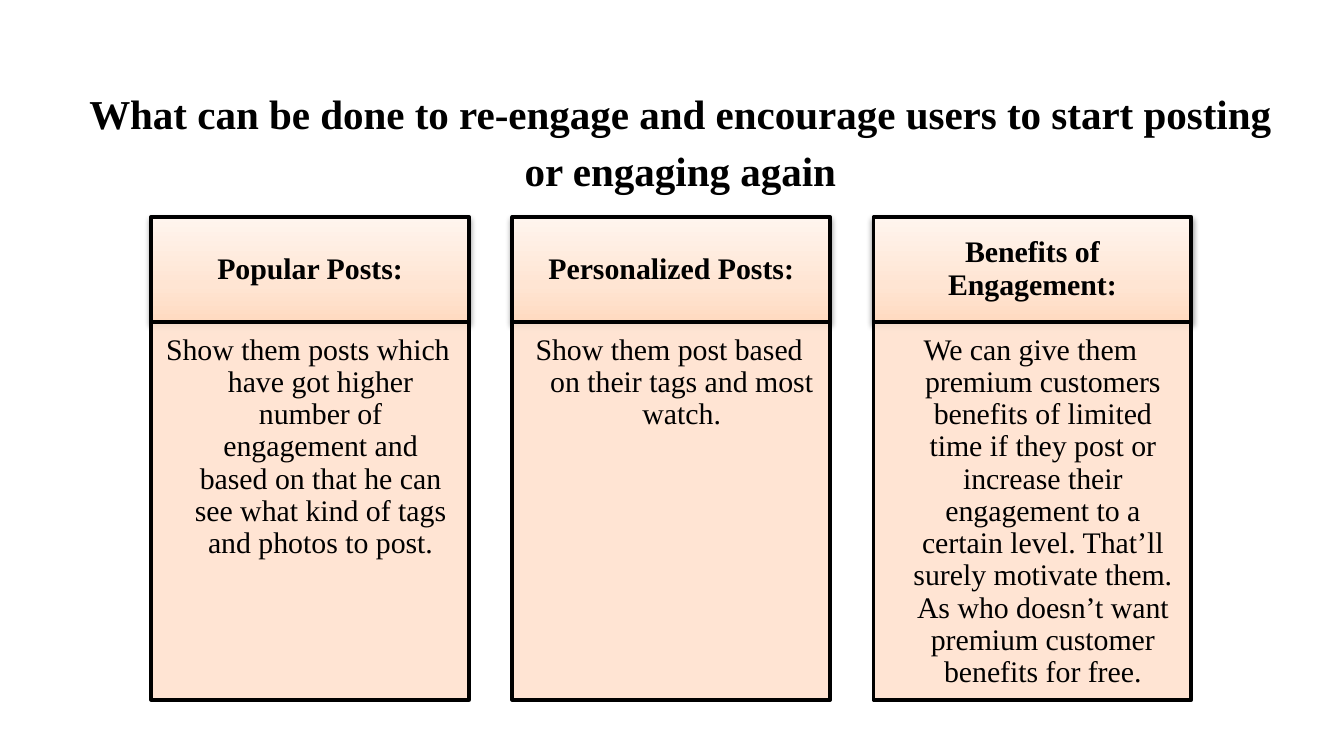
"""Build a slide with three cards of ideas for re-engaging users."""
from lxml import etree
from pptx import Presentation
from pptx.dml.color import RGBColor
from pptx.enum.shapes import MSO_SHAPE
from pptx.enum.text import MSO_ANCHOR, MSO_AUTO_SIZE, PP_ALIGN
from pptx.oxml.ns import qn
from pptx.util import Pt

PX = 9525
RECT = MSO_SHAPE.RECTANGLE
TOP, MIDDLE = MSO_ANCHOR.TOP, MSO_ANCHOR.MIDDLE
CENTER = PP_ALIGN.CENTER
NO_FIT = MSO_AUTO_SIZE.NONE
BLACK = "000000"
LEFT, HEAD_TOP, WIDTH, STEP = 108, 155, 227, 258
HEAD_H, BODY_H = 75, 270
STOPS = [(0, "FFDAC0"), (35, "FFE5D3"), (100, "FFF5EE")]
CARDS = [
    ("Popular Posts:",
     "Show them posts which have got higher number of engagement and based "
     "on that he can see what kind of tags and photos to post."),
    ("Personalized Posts:",
     "Show them post based on their tags and most watch."),
    ("Benefits of Engagement:",
     "We can give them premium customers benefits of limited time if they "
     "post or increase their engagement to a certain level. That’ll surely "
     "motivate them. As who doesn’t want premium customer benefits for free."),
]


def color(code):
    return RGBColor.from_string(code)


def write(shape, text, size, bold, anchor, insets, indent, spacing):
    frame = shape.text_frame
    frame.text = text
    frame.word_wrap = True
    frame.auto_size = NO_FIT
    frame.vertical_anchor = anchor
    (frame.margin_left, frame.margin_top,
     frame.margin_right, frame.margin_bottom) = [n * PX for n in insets]
    para = frame.paragraphs[0]
    para.alignment = CENTER
    para.line_spacing = spacing
    para.space_before = Pt(0)
    props = para._p.get_or_add_pPr()
    props.set("marL", str(indent[0] * PX))
    props.set("indent", str(indent[1] * PX))
    font = para.font
    font.name = "Times New Roman"
    font.size = Pt(size)
    font.bold = bold
    font.color.rgb = color(BLACK)


deck = Presentation()
deck.slide_width, deck.slide_height = 960 * PX, 540 * PX
slide = deck.slides.add_slide(deck.slide_layouts[5])

title = slide.shapes.title
title.left, title.top = 33 * PX, 48 * PX
title.width, title.height = 895 * PX, 83 * PX
write(title, "What can be done to re-engage and encourage users to start "
      "posting or engaging again", 22, True, TOP, (10, 10, 10, 10), (11, 0), 1.15)

for col, (name, text) in enumerate(CARDS):
    x = LEFT + col * STEP
    head = slide.shapes.add_shape(
        RECT, x * PX, HEAD_TOP * PX, WIDTH * PX, HEAD_H * PX)
    body = slide.shapes.add_shape(
        RECT, x * PX, (HEAD_TOP + HEAD_H) * PX, WIDTH * PX, BODY_H * PX)
    for box in (head, body):
        box.shadow.inherit = False
        box.line.color.rgb = color(BLACK)
        box.line.width = Pt(2)

    head.fill.gradient()
    head.fill.gradient_angle = 90
    stops = head.element.spPr.find(".//" + qn("a:gsLst"))
    stops.clear()
    for pos, code in STOPS:
        stop = etree.SubElement(stops, qn("a:gs"), pos=str(pos * 1000))
        etree.SubElement(stop, qn("a:srgbClr"), val=code)
    effects = head.element.spPr.find(qn("a:effectLst"))
    shade = etree.SubElement(
        effects, qn("a:outerShdw"), blurRad="40000", dist="20000",
        dir="5400000", rotWithShape="0")
    tint = etree.SubElement(shade, qn("a:srgbClr"), val=BLACK)
    etree.SubElement(tint, qn("a:alpha"), val="38000")
    write(head, name, 16, True, MIDDLE, (12, 7, 12, 7), (0, 0), 0.9)

    body.fill.solid()
    body.fill.fore_color.rgb = color("FFE2CF")
    tint = body.element.spPr.find(qn("a:solidFill")).find(qn("a:srgbClr"))
    etree.SubElement(tint, qn("a:alpha"), val="90000")
    write(body, text, 16, False, TOP, (9, 9, 12, 13), (18, -18), 0.9)

deck.save("out.pptx")
